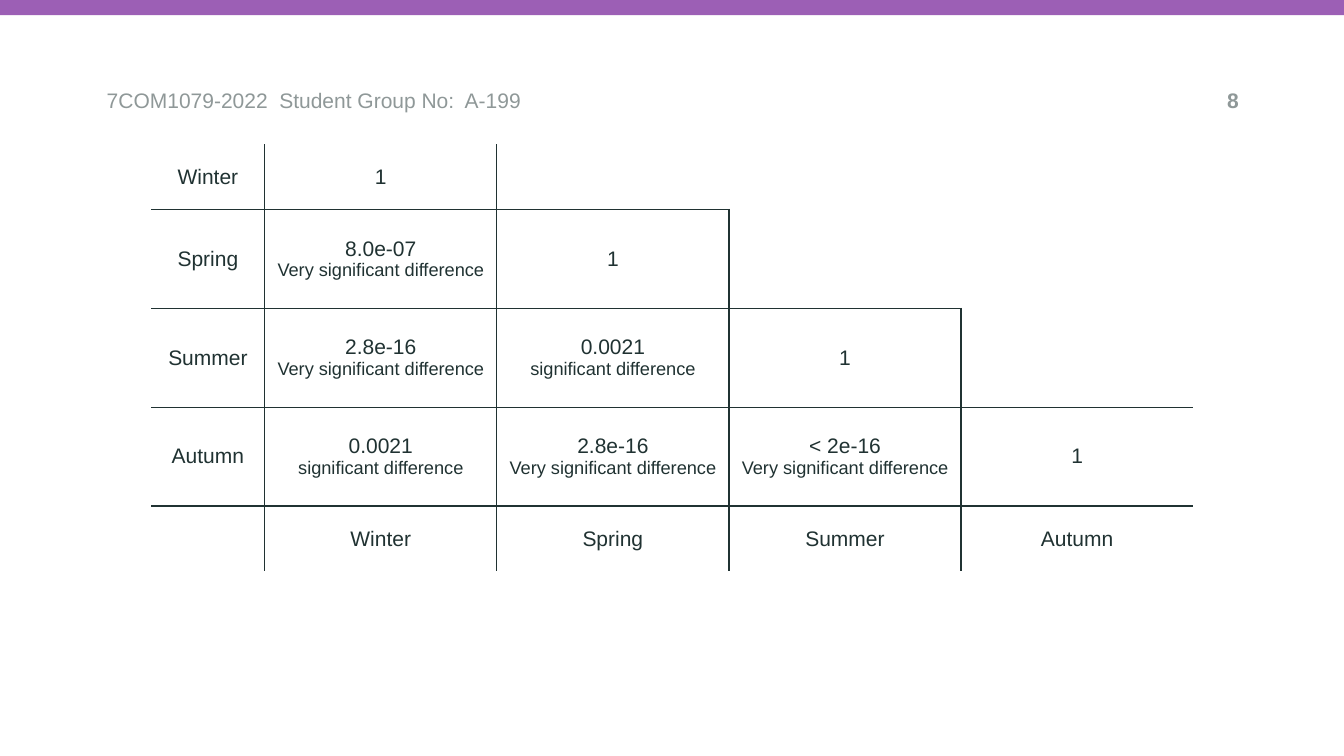
from dataclasses import dataclass

from lxml import etree
from pptx import Presentation
from pptx.dml.color import RGBColor
from pptx.enum.shapes import MSO_SHAPE
from pptx.enum.text import MSO_ANCHOR, MSO_AUTO_SIZE, PP_ALIGN
from pptx.oxml.ns import qn
from pptx.slide import Slide
from pptx.table import _Cell
from pptx.text.text import TextFrame, _Paragraph
from pptx.util import Cm, Pt

RECTANGLE = MSO_SHAPE.RECTANGLE
MIDDLE = MSO_ANCHOR.MIDDLE
NO_AUTOFIT = MSO_AUTO_SIZE.NONE
LEFT, CENTER, RIGHT = PP_ALIGN.LEFT, PP_ALIGN.CENTER, PP_ALIGN.RIGHT

COLORS = {"bar": "9C5FB5", "header": "8F9898", "ink": "203232"}
FONT = "Arial"
VALUE_SIZE, NOTE_SIZE = 15, 13
BORDER_WIDTH = Pt(1)

SEASONS = ["Winter", "Spring", "Summer", "Autumn"]
COLUMN_WIDTHS = [2.86] + [5.85] * len(SEASONS)
ROW_HEIGHTS = [1.65, 2.49, 2.49, 2.49, 1.65]
LAST = len(SEASONS)


@dataclass(frozen=True)
class Entry:
    value: str
    note: str = ""


VERY = "Very significant difference"
SIGNIFICANT = "significant difference"
SAME = Entry("1")
COMPARISONS = [
    [SAME],
    [Entry("8.0e-07", VERY), SAME],
    [Entry("2.8e-16", VERY), Entry("0.0021", SIGNIFICANT), SAME],
    [Entry("0.0021", SIGNIFICANT), Entry("2.8e-16", VERY),
     Entry("< 2e-16", VERY), SAME],
]


def add_run(paragraph: _Paragraph, text: str, size: int, color: str,
            bold: bool = False) -> None:
    run = paragraph.add_run()
    run.text = text
    run.font.name = FONT
    run.font.size = Pt(size)
    run.font.bold = bold
    run.font.color.rgb = RGBColor.from_string(COLORS[color])


def add_top_bar(slide: Slide, width: int) -> None:
    shape = slide.shapes.add_shape(RECTANGLE, 0, 0, width, Cm(0.38))
    shape.shadow.inherit = False
    shape.fill.solid()
    shape.fill.fore_color.rgb = RGBColor.from_string(COLORS["bar"])
    shape.line.fill.background()


def write_header(frame: TextFrame, text: str, alignment: PP_ALIGN,
                 bold: bool = False) -> None:
    frame.margin_left = frame.margin_right = 0
    frame.margin_top = frame.margin_bottom = 0
    frame.word_wrap = True
    frame.auto_size = NO_AUTOFIT
    frame.vertical_anchor = MIDDLE
    paragraph = frame.paragraphs[0]
    paragraph.alignment = alignment
    add_run(paragraph, text, VALUE_SIZE, "header", bold)


def has_right_line(row: int, column: int) -> bool:
    return 0 <= column < LAST and column <= row + 1


def has_bottom_line(row: int, column: int) -> bool:
    return 0 <= row < LAST and column <= row + 2


def set_borders(cell: _Cell, row: int, column: int) -> None:
    """Draw the staircase grid; neighbours agree on each shared side."""
    sides = {
        "a:lnL": has_right_line(row, column - 1),
        "a:lnR": has_right_line(row, column),
        "a:lnT": has_bottom_line(row - 1, column),
        "a:lnB": has_bottom_line(row, column),
    }
    properties = cell._tc.get_or_add_tcPr()
    for tag, visible in sides.items():
        line = etree.SubElement(properties, qn(tag), w=str(BORDER_WIDTH))
        if visible:
            fill = etree.SubElement(line, qn("a:solidFill"))
            etree.SubElement(fill, qn("a:srgbClr"), val=COLORS["ink"])
        else:
            etree.SubElement(line, qn("a:noFill"))


def write_entry(cell: _Cell, entry: Entry) -> None:
    paragraph = cell.text_frame.paragraphs[0]
    paragraph.alignment = CENTER
    add_run(paragraph, entry.value, VALUE_SIZE, "ink")
    if entry.note:
        paragraph.add_line_break()
        line_break = paragraph._p.findall(qn("a:br"))[-1]
        etree.SubElement(line_break, qn("a:rPr"), sz=str(VALUE_SIZE * 100))
        add_run(paragraph, entry.note, NOTE_SIZE, "ink")


def add_comparison_table(slide: Slide) -> None:
    table = slide.shapes.add_table(
        len(ROW_HEIGHTS), len(COLUMN_WIDTHS), Cm(3.81), Cm(3.63),
        Cm(sum(COLUMN_WIDTHS)), Cm(sum(ROW_HEIGHTS))).table
    table.first_row = False
    table.horz_banding = False
    for column, width in zip(table.columns, COLUMN_WIDTHS):
        column.width = Cm(width)
    for row, height in zip(table.rows, ROW_HEIGHTS):
        row.height = Cm(height)

    rows = [[Entry(season)] + entries
            for season, entries in zip(SEASONS, COMPARISONS)]
    rows.append([Entry("")] + [Entry(season) for season in SEASONS])
    for row_index, entries in enumerate(rows):
        for column_index in range(len(COLUMN_WIDTHS)):
            cell = table.cell(row_index, column_index)
            set_borders(cell, row_index, column_index)
            cell.fill.background()
            cell.vertical_anchor = MIDDLE
            if column_index < len(entries) and entries[column_index].value:
                write_entry(cell, entries[column_index])
        if len(entries) < LAST:
            table.cell(row_index, len(entries)).merge(
                table.cell(row_index, LAST))


def main() -> None:
    presentation = Presentation()
    presentation.slide_width = Cm(33.87)
    presentation.slide_height = Cm(19.05)
    slide = presentation.slides.add_slide(
        presentation.slide_layouts.get_by_name("Title Only"))

    add_top_bar(slide, presentation.slide_width)
    title = slide.shapes.title
    title.left, title.top = Cm(2.69), Cm(2.21)
    title.width, title.height = Cm(19.94), Cm(0.64)
    write_header(title.text_frame, "7COM1079-2022  Student Group No:  A-199",
                 LEFT)
    page_number = slide.shapes.add_textbox(
        Cm(29.49), Cm(2.21), Cm(1.73), Cm(0.64))
    write_header(page_number.text_frame, "8", RIGHT, bold=True)
    add_comparison_table(slide)
    presentation.save("out.pptx")


if __name__ == "__main__":
    main()
